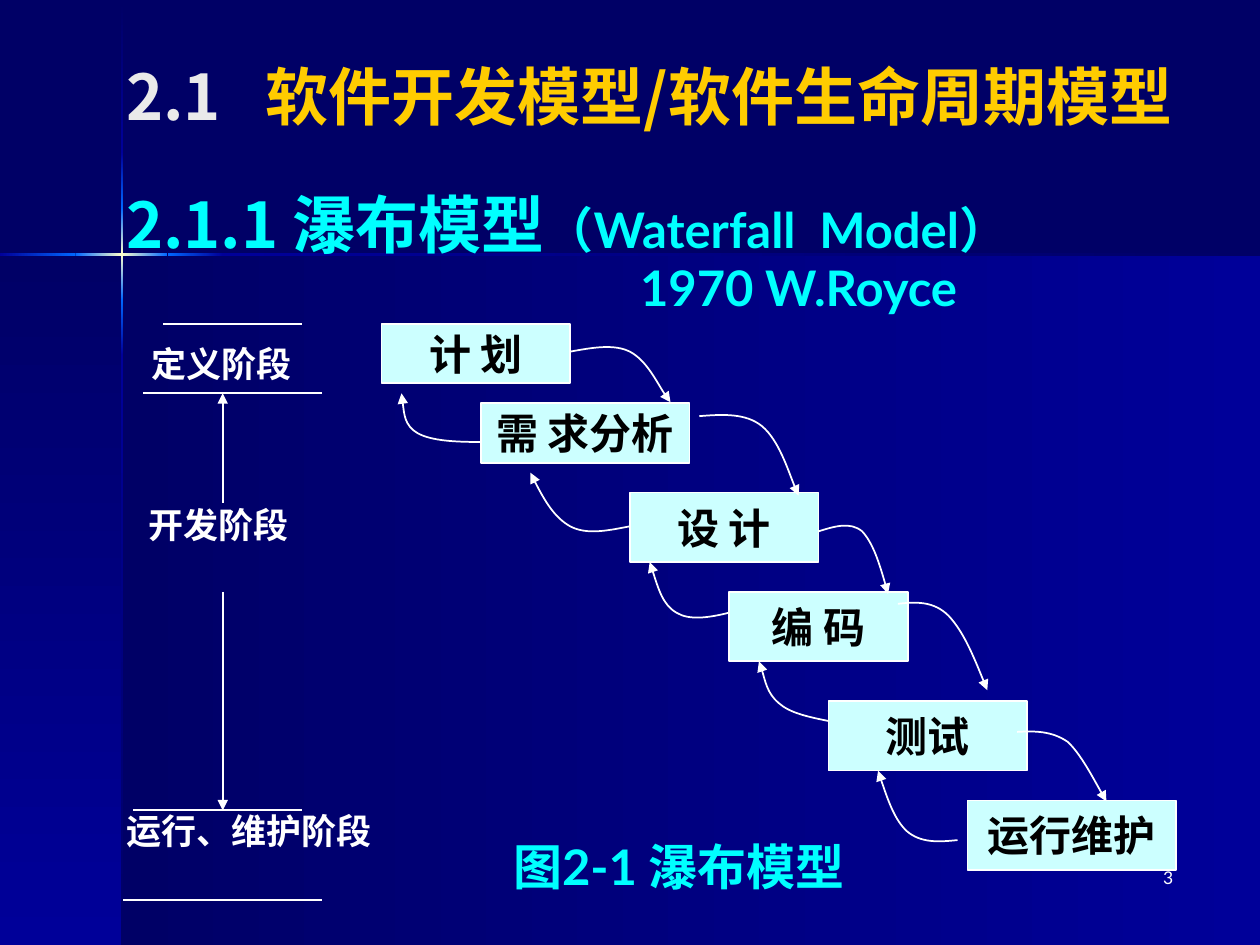
import pptx
import pptx.dml.color
import pptx.enum.shapes
import pptx.enum.text
import pptx.oxml
import pptx.oxml.ns
import pptx.util

Inches = pptx.util.Inches
qn = pptx.oxml.ns.qn
ALIGN = pptx.enum.text.PP_ALIGN
ANCHOR = pptx.enum.text.MSO_ANCHOR
RECTANGLE = pptx.enum.shapes.MSO_SHAPE.RECTANGLE
CJK, LATIN, BOX_FONT = "Noto Sans CJK JP", "Lato", "Arial"
COLORS = {
    "night": "000066", "navy": "000099", "blue": "0066FF", "glow": "FFFFCC",
    "number": "EAEAEA", "gold": "FFCC00", "cyan": "00FFFF",
    "white": "FFFFFF", "black": "000000", "box": "CCFFFF",
}
CELL, DIAGRAM_LEFT, DIAGRAM_TOP = 0.0788, 0.98, 2.57
STAGES = [
    ("计 划", 26, 0, 19, 6), ("需 求分析", 36, 8, 21, 6), ("设 计", 51, 17, 19, 7),
    ("编 码", 61, 27, 18, 7), ("测试", 71, 38, 20, 7), ("运行维护", 85, 48, 21, 7),
]
FORWARD_CURVES = [
    [(45, 2.8), (47.2, 2.4), (49.4, 2), (51, 2.8), (52.7, 3.7), (54.3, 7), (55.1, 7.9)],
    [(58, 9.3), (60.4, 9.1), (62.7, 9), (64.3, 10.3), (66, 11.7), (67.4, 16.1), (68, 17.3)],
    [(70, 20.9), (71.6, 20.4), (73.2, 19.9), (74.4, 20.9), (75.5, 22.1), (76.3, 24.6), (77, 27.2)],
    [(78, 28.2), (79.8, 28), (81.6, 27.9), (83.1, 29.4), (84.6, 31), (85.8, 33.9), (87, 36.9)],
    [(90, 41.1), (91.8, 41), (93.5, 41), (95.1, 42.1), (96.4, 43.3), (98.4, 47.1), (99, 48.1)],
]
BACK_CURVES = [
    [(36, 11.9), (33.5, 11.9), (31, 11.8), (29.6, 11), (28.3, 10.2), (28.2, 8.5), (28, 7)],
    [(51, 20.4), (48.9, 20.8), (46.7, 21.3), (45, 20.4), (43.4, 19.5), (42.1, 17.3), (41, 15)],
    [(61, 29.1), (59, 29.6), (57, 29.9), (55.7, 29.1), (54.3, 28.3), (53.7, 26.1), (53, 24)],
    [(71, 40), (69, 39.6), (67.1, 39.2), (66, 38.2), (64.8, 37.2), (64.3, 34.6), (64, 34)],
    [(84, 52), (82.1, 52.2), (80.3, 52.3), (78.9, 51.1), (77.7, 50), (76.8, 47.5), (76, 45)],
]


def rgb(name):
    """Return the named color."""
    return pptx.dml.color.RGBColor.from_string(COLORS[name])


def set_attributes(target, values):
    """Set each named attribute of the target."""
    for name, value in values.items():
        setattr(target, name, value)


def add_child(parent, tag, **attributes):
    """Append a DrawingML element to its parent."""
    child = pptx.oxml.parse_xml(f'<{tag} {pptx.oxml.ns.nsdecls("a")}/>')
    for name, value in attributes.items():
        child.set(name, str(value))
    parent.append(child)
    return child


def add_run(paragraph, text, size, color, font=CJK, bold=True):
    """Add one formatted run."""
    run = paragraph.add_run()
    run.text = text
    set_attributes(run.font, {"size": pptx.util.Pt(size), "bold": bold, "name": font})
    run.font.color.rgb = rgb(color)
    add_child(run._r.get_or_add_rPr(), "a:ea", typeface=CJK)


def place(shape, box):
    """Move a shape to a box given in inches."""
    set_attributes(shape, dict(zip(("left", "top", "width", "height"), map(Inches, box))))


def format_stroke(shape, arrow=False):
    """Give a shape a thin white outline, with an optional arrowhead."""
    shape.line.color.rgb = rgb("white")
    shape.line.width = pptx.util.Pt(1)
    if arrow:
        add_child(shape.line._get_or_add_ln(), "a:tailEnd", type="triangle")


def add_band(slide, box, names, angle):
    """Add a rectangle filled with an evenly stepped gradient."""
    shape = slide.shapes.add_shape(RECTANGLE, *map(Inches, box))
    shape.shadow.inherit = False
    shape.line.fill.background()
    shape.fill.gradient()
    shape.fill.gradient_angle = angle
    stops = shape._element.spPr.find(".//" + qn("a:gsLst"))
    for stop in list(stops):
        stops.remove(stop)
    for index, name in enumerate(names):
        stop = add_child(stops, "a:gs", pos=index * 100000 // (len(names) - 1))
        add_child(stop, "a:srgbClr", val=COLORS[name])


def add_backdrop(slide, cross_x, cross_y, width, height):
    """Paint the panels and the glowing cross around its center."""
    slide.background.fill.solid()
    slide.background.fill.fore_color.rgb = rgb("night")
    add_band(slide, (cross_x, cross_y, width - cross_x, height - cross_y), ["navy", "night"], 180)
    add_band(slide, (0, cross_y, cross_x, height - cross_y), ["night", "navy"], 270)
    ramp = [["night", "navy"], ["navy", "blue"], ["blue", "glow", "blue"], ["blue", "navy"], ["navy", "night"]]
    rows = [0.01, 1.21, 1.65, 2.38, 2.82, height]
    for top, bottom, names in zip(rows, rows[1:], ramp):
        add_band(slide, (cross_x - 0.01, top, 0.02, bottom - top), names, 270)
    columns = [0, 0.6, 1.33, 1.77, width]
    for left, right, names in zip(columns, columns[1:], ramp[1:]):
        add_band(slide, (left, cross_y - 0.01, right - left, 0.02), names[::-1], 180)


def add_title(title, box):
    """Fill the title placeholder."""
    place(title, box)
    set_attributes(title.text_frame, {
        "vertical_anchor": ANCHOR.TOP, "margin_top": Inches(0.1), "word_wrap": True,
        "auto_size": pptx.enum.text.MSO_AUTO_SIZE.NONE,
    })
    paragraph = title.text_frame.paragraphs[0]
    paragraph.alignment = ALIGN.LEFT
    tabs = add_child(paragraph._p.get_or_add_pPr(), "a:tabLst")
    add_child(tabs, "a:tab", pos=Inches(1.11), algn="l")
    add_run(paragraph, "2.1\t", 36, "number")
    add_run(paragraph, "软件开发模型/软件生命周期模型", 36, "gold")


def add_body(body, box):
    """Fill the body placeholder with the heading and the phase names."""
    place(body, box)
    set_attributes(body.text_frame, {"word_wrap": True, "auto_size": pptx.enum.text.MSO_AUTO_SIZE.NONE})
    lines = [
        (0, 0, [("2.1.1 瀑布模型", 36, "cyan"), ("（Waterfall  Model）", 28, "cyan", LATIN)]),
        (4.08, 4.5, [("1970 W.Royce", 28, "cyan", LATIN)]),
        (0.2, 20, [("定义阶段", 20, "white")]),
        (0.18, 72.5, [("开发阶段", 20, "white")]),
        (0, 156, [("运行、维护阶段", 20, "white")]),
    ]
    for index, (indent, space, runs) in enumerate(lines):
        paragraph = body.text_frame.add_paragraph() if index else body.text_frame.paragraphs[0]
        set_attributes(paragraph, {"line_spacing": 0.8, "space_before": pptx.util.Pt(space)})
        properties = paragraph._p.get_or_add_pPr()
        properties.set("marL", str(Inches(indent)))
        properties.set("indent", "0")
        add_child(properties, "a:buNone")
        for run in runs:
            add_run(paragraph, *run)


def add_text(slide, box, text, size, color, alignment, bold):
    """Add a one-line text box."""
    frame = slide.shapes.add_textbox(*map(Inches, box)).text_frame
    frame.word_wrap = True
    frame.paragraphs[0].alignment = alignment
    add_run(frame.paragraphs[0], text, size, color, LATIN, bold)


def add_waterfall(slide, left, top, cell):
    """Draw the stages, their curved arrows and the phase ruler on a grid."""
    def point(column, row):
        return Inches(left + column * cell), Inches(top + row * cell)

    for name, column, row, width, height in STAGES:
        size = [Inches(width * cell), Inches(height * cell)]
        shape = slide.shapes.add_shape(RECTANGLE, *point(column, row), *size)
        shape.shadow.inherit = False
        shape.fill.solid()
        shape.fill.fore_color.rgb = rgb("box")
        format_stroke(shape)
        set_attributes(shape.text_frame, {"word_wrap": False, "vertical_anchor": ANCHOR.MIDDLE})
        shape.text_frame.paragraphs[0].alignment = ALIGN.CENTER
        add_run(shape.text_frame.paragraphs[0], name, 24, "black", BOX_FONT)
    for curve in FORWARD_CURVES + BACK_CURVES:
        start, *controls = [point(*position) for position in curve]
        builder = slide.shapes.build_freeform(*start)
        builder.add_line_segments(controls, close=False)
        shape = builder.convert_to_shape()
        shape.shadow.inherit = False
        shape.fill.background()
        format_stroke(shape, arrow=True)
        outline = shape._element.spPr.find(".//" + qn("a:path"))
        segments = outline.findall(qn("a:lnTo"))
        for first in range(0, len(segments), 3):
            bend = add_child(outline, "a:cubicBezTo")
            for segment in segments[first:first + 3]:
                bend.append(segment[0])
                outline.remove(segment)
    ruler = [
        (4, 0, 18, 0, False), (20, 7, 2, 7, False), (1, 49, 18, 49, False),
        (0, 58, 20, 58, False), (10, 18, 10, 7, True), (10, 27, 10, 49, True),
    ]
    straight = pptx.enum.shapes.MSO_CONNECTOR.STRAIGHT
    for x1, y1, x2, y2, arrow in ruler:
        connector = slide.shapes.add_connector(straight, *point(x1, y1), *point(x2, y2))
        format_stroke(connector, arrow)
        add_child(connector._element.spPr, "a:effectLst")
    caption_box = (left + 38 * cell, top + 51 * cell, 3.2, 0.57)
    add_text(slide, caption_box, "图2-1 瀑布模型", 28, "cyan", ALIGN.LEFT, True)


def main():
    """Build and save the slide."""
    presentation = pptx.Presentation()
    set_attributes(presentation, {"slide_width": Inches(10), "slide_height": Inches(7.5)})
    slide = presentation.slides.add_slide(presentation.slide_layouts[1])
    title, body = slide.placeholders
    add_backdrop(slide, 0.97, 2.02, 10, 7.5)
    for placeholder in (title, body):
        placeholder._element.getparent().append(placeholder._element)
    add_title(title, (0.9, 0.36, 9.1, 1.53))
    add_body(body, (0.9, 1.54, 9.76, 5.95))
    add_waterfall(slide, DIAGRAM_LEFT, DIAGRAM_TOP, CELL)
    add_text(slide, (7.33, 6.83, 2.08, 0.5), "3", 10, "white", ALIGN.RIGHT, False)
    presentation.save("out.pptx")


if __name__ == "__main__":
    main()
